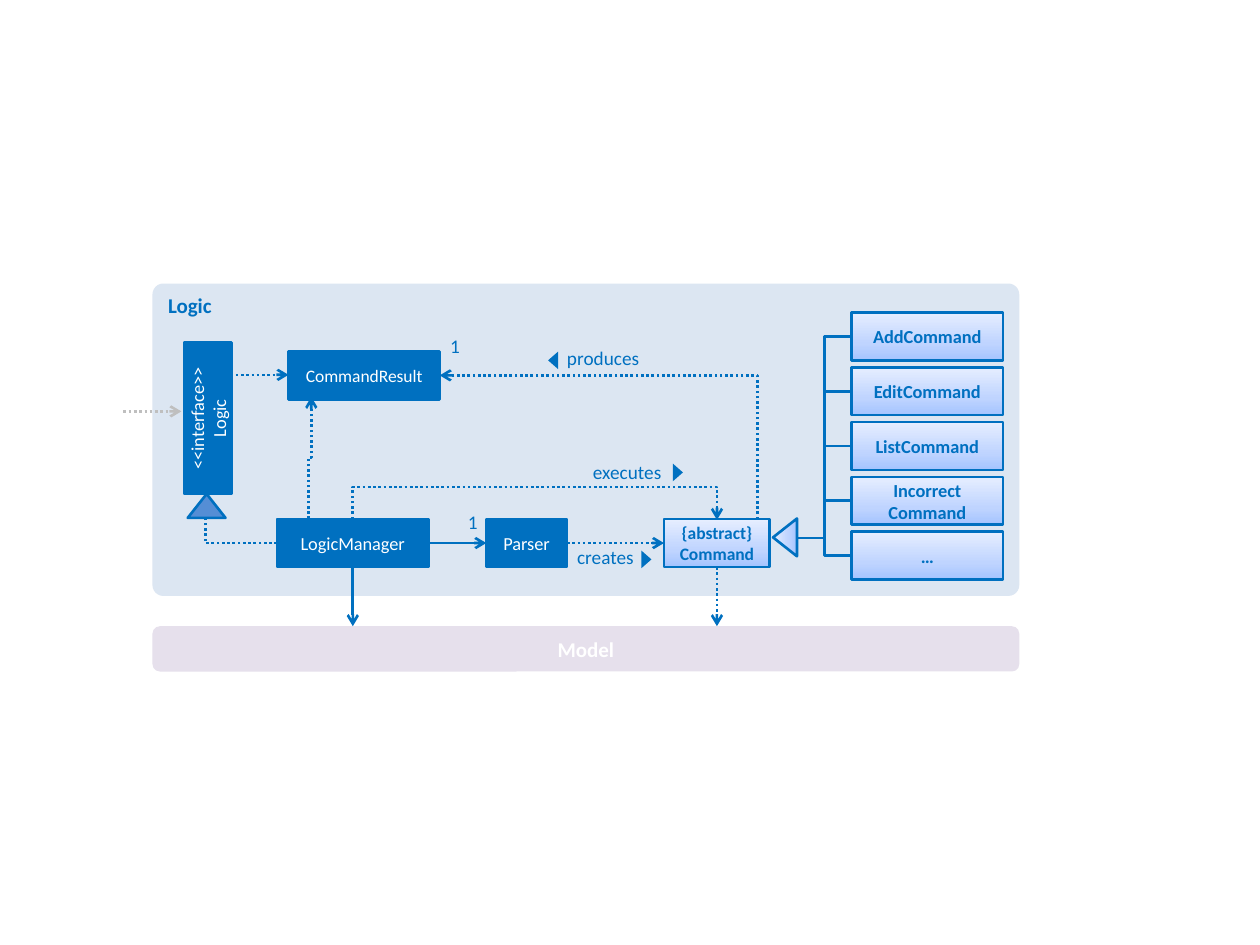
from dataclasses import dataclass

from lxml.etree import SubElement
from pptx import Presentation
from pptx.dml.color import RGBColor
from pptx.enum.dml import MSO_LINE as Dash
from pptx.enum.shapes import MSO_CONNECTOR as Link, MSO_SHAPE as Shape
from pptx.enum.text import MSO_ANCHOR as Anchor, PP_ALIGN as Align
from pptx.oxml.ns import qn
from pptx.util import Inches, Pt

COLORS = {
    "blue": "0070C0", "panel": "DCE6F2", "model": "E6E0EC", "white": "FFFFFF",
    "grey": "BFBFBF", "inherit": "558ED5",
}
COMMAND_STOPS = [(0, "A4C4FF"), (35, "BFD4FF"), (100, "E6EEFF")]
FONT = "Calibri"
CELL = 0.1  # the slide is a grid of 100 columns by 75 rows
BOX_HEIGHT = 3.8
COMMANDS = ["AddCommand", "EditCommand", "ListCommand", "Incorrect\vCommand", "…"]


def cells(*counts):
    return [Inches(count * CELL) for count in counts]


@dataclass
class Box:
    left: float
    top: float
    width: float
    height: float

    def inner(self, left, top, width, height):
        return Box(self.left + left, self.top + top, width, height)

    def point(self, column, row):
        return self.left + column, self.top + row

    def frame(self):
        return cells(self.left, self.top, self.width, self.height)


def color(name):
    return RGBColor.from_string(COLORS[name])


def write(shape, text, size, ink="blue", bold=False, align=Align.CENTER,
          anchor=Anchor.MIDDLE):
    """Write text; a newline starts a paragraph, a vertical tab a line."""
    frame = shape.text_frame
    frame.word_wrap = True
    frame.vertical_anchor = anchor
    for number, paragraph in enumerate(text.split("\n")):
        para = frame.add_paragraph() if number else frame.paragraphs[0]
        para.alignment = align
        for index, line in enumerate(paragraph.split("\v")):
            if index:
                para.add_line_break()
            span = para.add_run()
            span.text = line
            span.font.name, span.font.size, span.font.bold = FONT, Pt(size), bold
            span.font.color.rgb = color(ink)


def fill_gradient(shape):
    shape.fill.gradient()
    shape.fill.gradient_angle = 90
    stops = shape._element.spPr.find(qn("a:gradFill")).find(qn("a:gsLst"))
    stops.clear()
    for position, value in COMMAND_STOPS:
        stop = SubElement(stops, qn("a:gs"), pos=str(position * 1000))
        SubElement(stop, qn("a:srgbClr"), val=value)


def add_block(page, kind, box, fill=None, outline=True, rotation=0):
    """Add a preset shape; without a fill name it gets the command gradient."""
    shape = page.shapes.add_shape(kind, *box.frame())
    shape.shadow.inherit = False
    shape.rotation = rotation
    if fill:
        shape.fill.solid()
        shape.fill.fore_color.rgb = color(fill)
    else:
        fill_gradient(shape)
    if outline:
        shape.line.color.rgb = color("blue")
        shape.line.width = Pt(1.5)
    else:
        shape.line.fill.background()
    return shape


def add_class(page, box, text, size=10.5, rotation=0):
    shape = add_block(page, Shape.RECTANGLE, box, "blue", rotation=rotation)
    write(shape, text, size, "white")
    return shape


def add_command(page, box, text, size=10.5):
    shape = add_block(page, Shape.RECTANGLE, box)
    write(shape, text, size, bold=True)
    return shape


def add_link(page, kind, start, end, dotted=False, arrow=True, ink="blue"):
    link = page.shapes.add_connector(kind, *cells(*start, *end))
    link.line.color.rgb = color(ink)
    link.line.width = Pt(1.5)
    if dotted:
        link.line.dash_style = Dash.ROUND_DOT
    if arrow:
        SubElement(link.line._get_or_add_ln(), qn("a:tailEnd"), type="arrow")
    SubElement(link._element.spPr, qn("a:effectLst"))
    return link


def add_elbow(page, start, end, bend, upright=False, **style):
    """Add a three-part elbow that turns at column bend, or at row bend if upright."""
    (x1, y1), (x2, y2) = start, end
    share = (bend - x1) / (x2 - x1) if not upright else (bend - y1) / (y2 - y1)
    if upright:  # lay it flat around its centre, then turn it a quarter
        x, y, dx, dy = (x1 + x2) / 2, (y1 + y2) / 2, (x2 - x1) / 2, (y2 - y1) / 2
        start, end = (x - dy, y + dx), (x + dy, y - dx)
    link = add_link(page, Link.ELBOW, start, end, **style)
    properties = link._element.spPr
    if upright:
        properties.find(qn("a:xfrm")).set("rot", "5400000")
    guides = properties.find(qn("a:prstGeom")).get_or_add_avLst()
    SubElement(guides, qn("a:gd"), name="adj1", fmla=f"val {round(share * 100000)}")


def add_corner(page, start, end, **style):
    """Add an elbow with one turn, leaving its start sideways."""
    link = add_link(page, Link.ELBOW, start, end, **style)
    link._element.spPr.find(qn("a:prstGeom")).set("prst", "bentConnector2")


def add_label(page, box, text, align=Align.RIGHT):
    label = page.shapes.add_textbox(*box.frame())
    frame = label.text_frame
    frame.margin_left = frame.margin_right = frame.margin_top = frame.margin_bottom = 0
    write(label, text, 11, align=align, anchor=Anchor.TOP)


def add_labels(page, panel):
    for text, left, top, width, align, arrow, turn in [
        ("executes", 32.4, 14, 8, Align.RIGHT, (41, 14.6), 90),
        ("produces", 32.9, 5, 8, Align.LEFT, (31.1, 5.7), 270),
        ("creates", 32.1, 20.8, 6.1, Align.RIGHT, (38.5, 21.5), 90),
    ]:
        add_label(page, panel.inner(left, top, width, 2.5), text, align)
        add_block(page, Shape.ISOSCELES_TRIANGLE, panel.inner(*arrow, 1.4, 0.8),
                  "blue", outline=False, rotation=turn)
    for left, top in [(23, 4), (24.4, 18)]:
        add_label(page, panel.inner(left, top, 1.4, 2.5), "1")


def add_command_family(page, panel):
    """Stack the concrete commands and tie them to the inheritance triangle."""
    add_block(page, Shape.ISOSCELES_TRIANGLE, panel.inner(48.7, 19.2, 3, 1.9),
              rotation=270)
    root = panel.point(51.2, 20.2)
    for row, name in enumerate(COMMANDS):
        box = panel.inner(55.5, 2.3 + row * 4.35, 12, BOX_HEIGHT)
        add_elbow(page, root, (box.left, box.top + BOX_HEIGHT / 2),
                  panel.left + 53.35, arrow=False)
        add_command(page, box, name)


def add_logic(page, panel, model):
    back = add_block(page, Shape.ROUNDED_RECTANGLE, panel, "panel", outline=False)
    back.adjustments[0] = 0.035
    write(back, "Logic", 12, bold=True, align=Align.LEFT, anchor=Anchor.TOP)

    lower = 18.7
    add_class(page, panel.inner(10.8, 5.4, 12, BOX_HEIGHT), "CommandResult", 10)
    manager = add_class(page, panel.inner(9.9, lower, 12, BOX_HEIGHT), "LogicManager")
    parser = add_class(page, panel.inner(26.5, lower, 6.4, BOX_HEIGHT), "Parser")
    command = add_command(page, panel.inner(40.6, lower, 8.4, BOX_HEIGHT),
                          "{abstract}\vCommand", 10)
    add_class(page, panel.inner(-1.6, 8.8, 12, BOX_HEIGHT),
              "<<interface>>\nLogic", rotation=270)
    add_block(page, Shape.ISOSCELES_TRIANGLE, panel.inner(2.8, 16.7, 3, 1.9), "inherit")

    at = panel.point
    for source, target, dotted in [(manager, parser, False), (parser, command, True)]:
        link = add_link(page, Link.STRAIGHT, at(0, 0), at(1, 0), dotted)
        link.begin_connect(source, 3)
        link.end_connect(target, 1)
    for source, column, dotted in [(manager, 15.9, False), (command, 44.8, True)]:
        end = (panel.left + column, model.top)
        add_link(page, Link.STRAIGHT, at(column, 22.5), end, dotted).begin_connect(source, 2)
    add_link(page, Link.STRAIGHT, at(6.2, 7.25), at(10.8, 7.25), True)
    add_link(page, Link.STRAIGHT, at(-2.3, 10.15), at(2.3, 10.15), True, ink="grey")
    add_corner(page, at(9.9, 20.6), at(4.2, 18.6), dotted=True, arrow=False)
    add_elbow(page, at(47.9, 20.3), at(22.8, 7.3), panel.left + 48, dotted=True)
    add_elbow(page, at(12.4, lower), at(12.6, 9), panel.top + 13.8, True, dotted=True)
    add_elbow(page, at(15.9, lower), at(44.8, lower + 0.05), panel.top + 16.2, True,
              dotted=True)
    # The command box covers the start of the link that leaves its top.
    page.shapes._spTree.append(command._element)
    add_command_family(page, panel)
    add_labels(page, panel)


def add_model(page, box):
    bar = add_block(page, Shape.ROUNDED_RECTANGLE, box, "model", outline=False)
    write(bar, "Model", 12, "white", bold=True)


def main():
    deck = Presentation()
    deck.slide_width, deck.slide_height = cells(100, 75)
    page = deck.slides.add_slide(deck.slide_layouts[6])
    panel = Box(12.1, 22.5, 68.8, 24.8)
    model = Box(panel.left, 49.7, panel.width, 3.6)
    add_model(page, model)
    add_logic(page, panel, model)
    deck.save("out.pptx")


if __name__ == "__main__":
    main()
